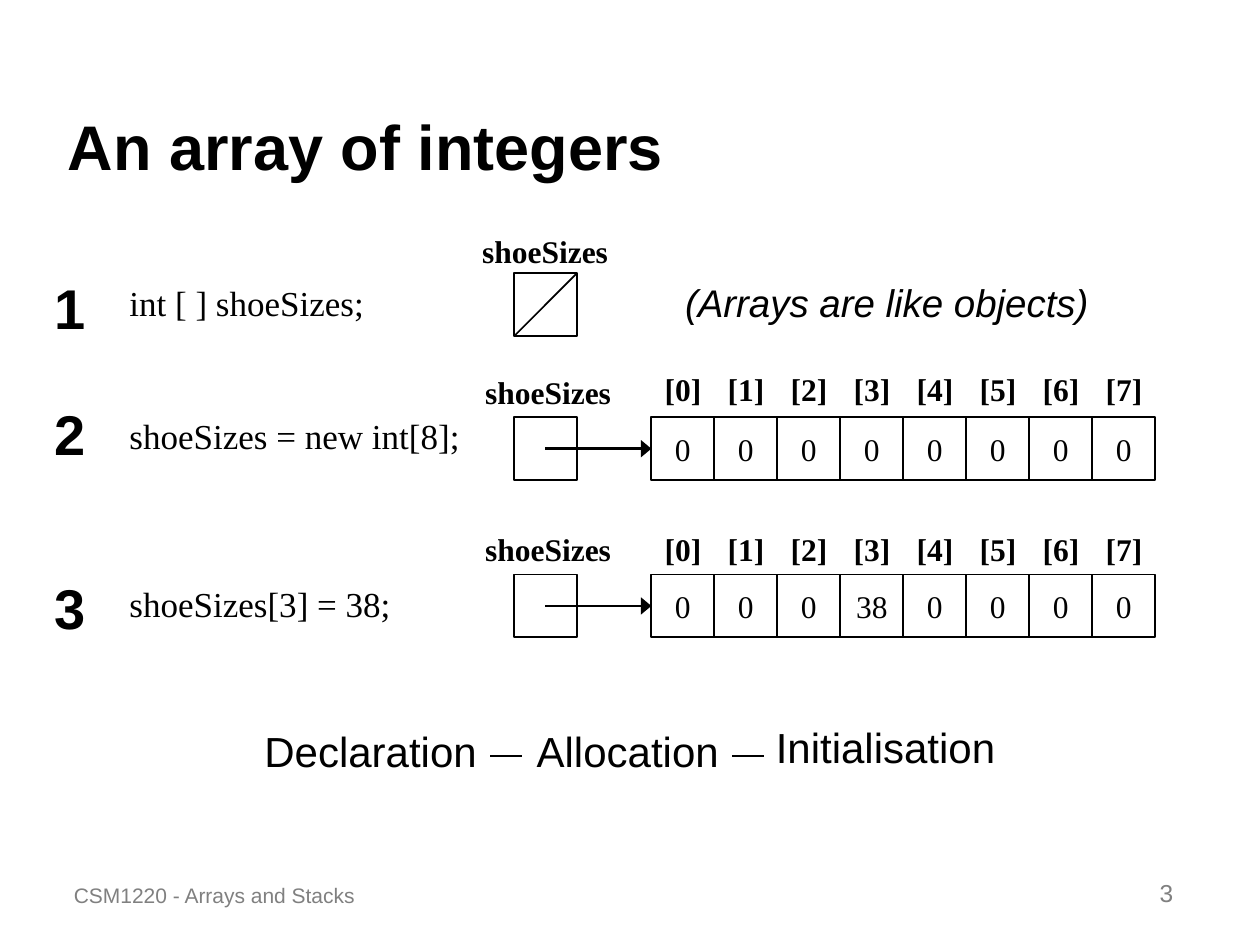
from lxml import etree
from pptx import Presentation
from pptx.dml.color import RGBColor
from pptx.enum.shapes import MSO_CONNECTOR, MSO_SHAPE
from pptx.enum.text import MSO_ANCHOR, MSO_AUTO_SIZE, PP_ALIGN
from pptx.oxml.ns import qn
from pptx.util import Cm, Pt

BLACK = RGBColor(0, 0, 0)
GREY = RGBColor(0x80, 0x80, 0x80)
STRAIGHT = MSO_CONNECTOR.STRAIGHT
RECTANGLE = MSO_SHAPE.RECTANGLE
BOTTOM, MIDDLE, TOP = MSO_ANCHOR.BOTTOM, MSO_ANCHOR.MIDDLE, MSO_ANCHOR.TOP
CENTER, LEFT, RIGHT = PP_ALIGN.CENTER, PP_ALIGN.LEFT, PP_ALIGN.RIGHT
FIT_SHAPE = MSO_AUTO_SIZE.SHAPE_TO_FIT_TEXT

CELL = 1.27
REFERENCE_LEFT = 10.36
ARRAY_OFFSET = 2.77

TITLE = {"name": "Arial", "size": Pt(36), "bold": True}
NUMBER = {"name": "Arial", "size": Pt(32), "bold": True}
CODE = {"name": "Times New Roman", "size": Pt(20)}
LABEL = {"name": "Times New Roman", "size": Pt(18), "bold": True}
VALUE = {"name": "Times New Roman", "size": Pt(18)}
NOTE = {"name": "Arial", "size": Pt(22), "italic": True}
PHASE = {"name": "Arial", "size": Pt(24)}
FOOTER = {"name": "Arial", "size": Pt(12)}
PAGE_NUMBER = {"name": "Arial", "size": Pt(14)}


def write(shape, words, style, color=BLACK, align=LEFT, anchor=TOP):
    """Put one formatted paragraph into a shape."""
    frame = shape.text_frame
    frame.vertical_anchor = anchor
    para = frame.paragraphs[0]
    para.alignment = align
    span = para.add_run()
    span.text = words
    for attribute, value in style.items():
        setattr(span.font, attribute, value)
    span.font.color.rgb = color
    return frame


def add_text(page, box, words, style):
    """Add a text box that grows with its single line."""
    shape = page.shapes.add_textbox(*map(Cm, box))
    frame = write(shape, words, style)
    frame.word_wrap = False
    frame.auto_size = FIT_SHAPE


def add_block(page, box, words, style, color=BLACK, align=LEFT):
    """Add a wrapping text box whose text rests on its bottom edge."""
    shape = page.shapes.add_textbox(*map(Cm, box))
    write(shape, words, style, color, align, BOTTOM).word_wrap = True


def add_square(page, left, top, words=""):
    """Add an outlined memory cell, with its value if it has one."""
    square = page.shapes.add_shape(RECTANGLE, Cm(left), Cm(top), Cm(CELL), Cm(CELL))
    square.shadow.inherit = False
    square.fill.background()
    square.line.color.rgb = BLACK
    square.line.width = Pt(1)
    if words:
        write(square, words, VALUE, align=CENTER, anchor=MIDDLE).word_wrap = False


def add_line(page, start, end, width=1.5, arrow=False):
    """Add a straight line, optionally with an arrowhead at its end."""
    line = page.shapes.add_connector(STRAIGHT, *map(Cm, start + end))
    line.line.color.rgb = BLACK
    line.line.width = Pt(width)
    if arrow:
        outline = line.line._get_or_add_ln()
        etree.SubElement(outline, qn("a:tailEnd"), type="triangle", w="lg", len="med")
    etree.SubElement(line._element.spPr, qn("a:effectLst"))


def add_step(page, left, top, number, code, code_offset, code_width):
    """Add a step number and its statement."""
    add_text(page, (left, top, 1.14, 1.63), number, NUMBER)
    add_text(page, (left + 1.52, top + code_offset, code_width, 1.12), code, CODE)


def add_null_reference(page, left, top):
    """Add a named reference cell struck through as empty."""
    add_text(page, (left - 0.89, top - 0.96, 3.05, 1.02), "shoeSizes", LABEL)
    add_square(page, left, top)
    add_line(page, (left, top + CELL), (left + CELL, top), width=1)


def add_array(page, left, top, values, index_rise):
    """Add a named reference cell pointing at a row of indexed cells."""
    middle = top + CELL / 2
    first = left + ARRAY_OFFSET
    add_text(page, (left - 0.83, top - 1.02, 3.05, 1.02), "shoeSizes", LABEL)
    add_square(page, left, top)
    for index, value in enumerate(values):
        cell_left = first + index * CELL
        add_text(page, (cell_left + 0.02, top - index_rise, 1.24, 1.02), f"[{index}]", LABEL)
        add_square(page, cell_left, top, str(value))
    add_line(page, (left + CELL / 2, middle), (first, middle), arrow=True)


def add_phases(page, left, top):
    """Add the three phase names joined by dashes."""
    phases = (
        (0, 0, 4.9, "Declaration"),
        (5.49, 0, 4.3, "Allocation"),
        (10.31, -0.07, 5.05, "Initialisation"),
    )
    for across, down, width, words in phases:
        add_text(page, (left + across, top + down, width, 1.27), words, PHASE)
    for across in (4.8, 9.68):
        dash_left, dash_top = left + across, top + 0.74
        add_line(page, (dash_left, dash_top), (dash_left + 0.64, dash_top))


def add_footer(page, left, top):
    """Add the course name and the page number."""
    add_block(page, (left, top, 7.62, 1.27), "CSM1220 - Arrays and Stacks", FOOTER, GREY)
    add_block(page, (left + 17.38, top, 5.28, 1.27), "3", PAGE_NUMBER, GREY, RIGHT)


def main():
    """Build the slide and save the deck."""
    deck = Presentation()
    deck.slide_width, deck.slide_height = Cm(25.4), Cm(19.05)
    page = deck.slides.add_slide(deck.slide_layouts[6])
    add_block(page, (1.12, 0.64, 23.01, 3.18), "An array of integers", TITLE)
    steps = (
        (5.38, "int [ ] shoeSizes;", 0.17, 5.35),
        (7.92, "shoeSizes = new int[8];", 0.32, 7.3),
        (11.43, "shoeSizes[3] = 38;", 0.18, 5.9),
    )
    for number, (top, code, code_offset, code_width) in enumerate(steps, 1):
        add_step(page, 0.84, top, str(number), code, code_offset, code_width)
    add_null_reference(page, REFERENCE_LEFT, 5.51)
    add_text(page, (13.56, 5.51, 8.7, 1.19), "(Arrays are like objects)", NOTE)
    add_array(page, REFERENCE_LEFT, 8.41, [0] * 8, 1.07)
    add_array(page, REFERENCE_LEFT, 11.58, [0, 0, 0, 38, 0, 0, 0, 0], 1.02)
    add_phases(page, 5.08, 14.5)
    add_footer(page, 1.24, 17.15)
    deck.save("out.pptx")


if __name__ == "__main__":
    main()
